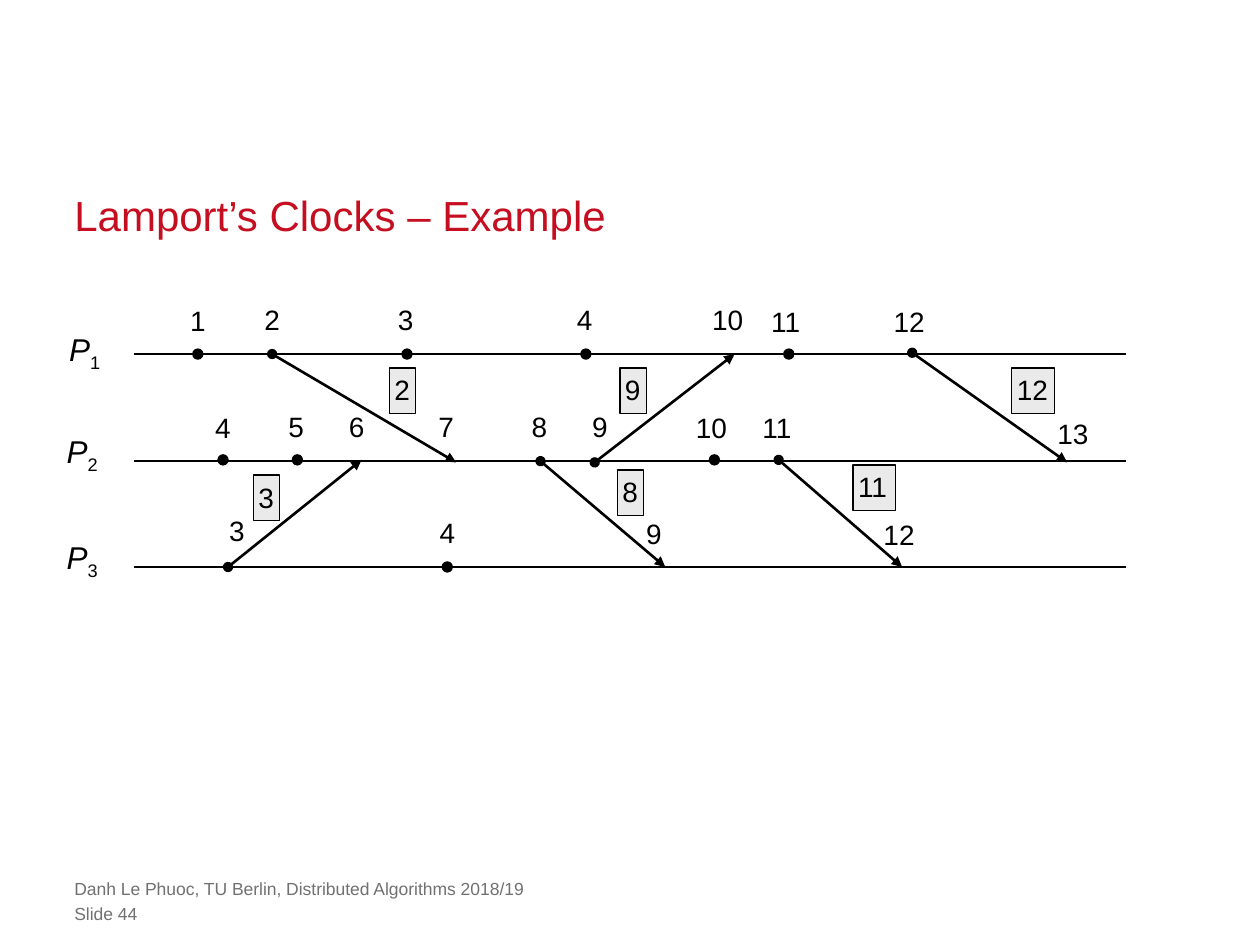
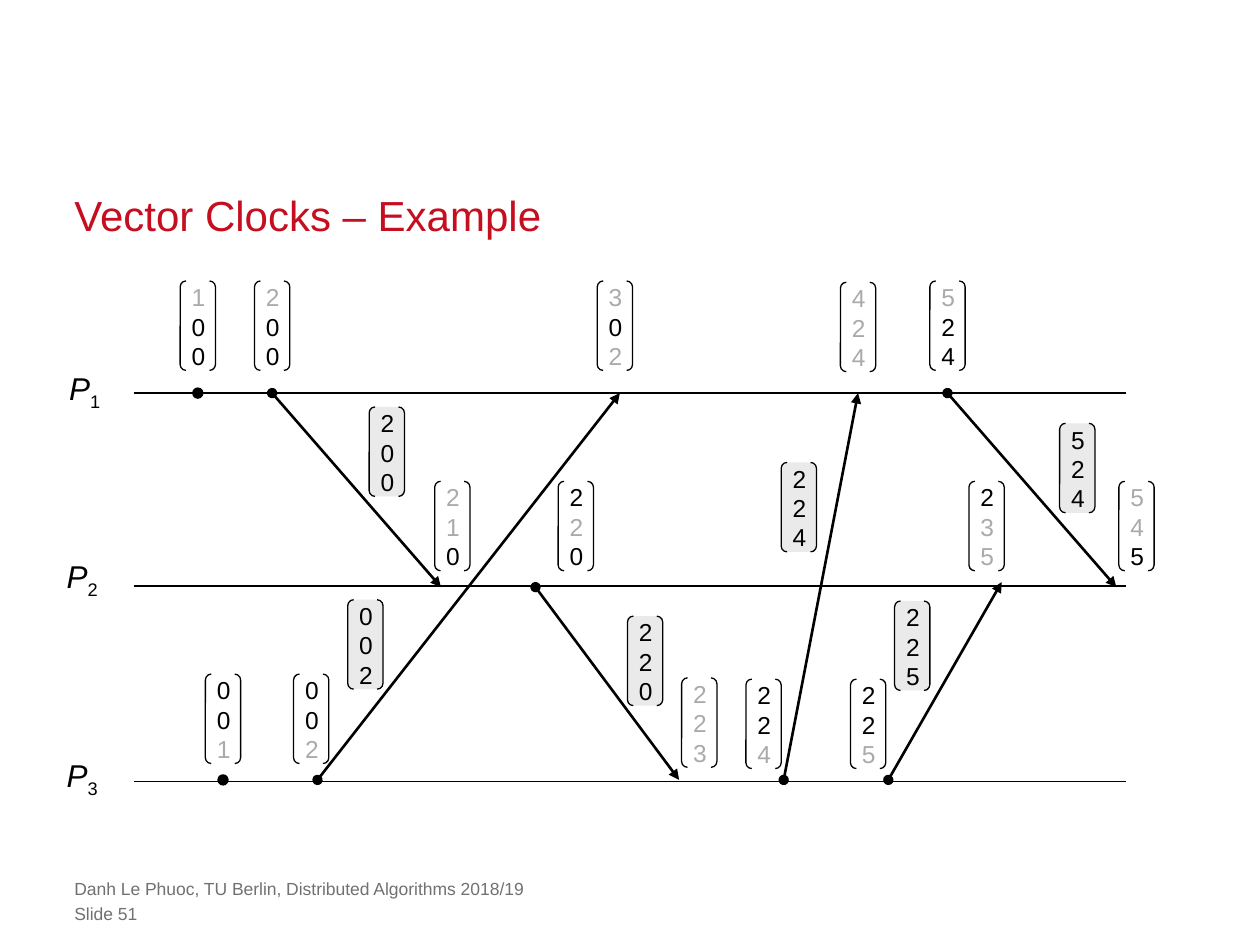
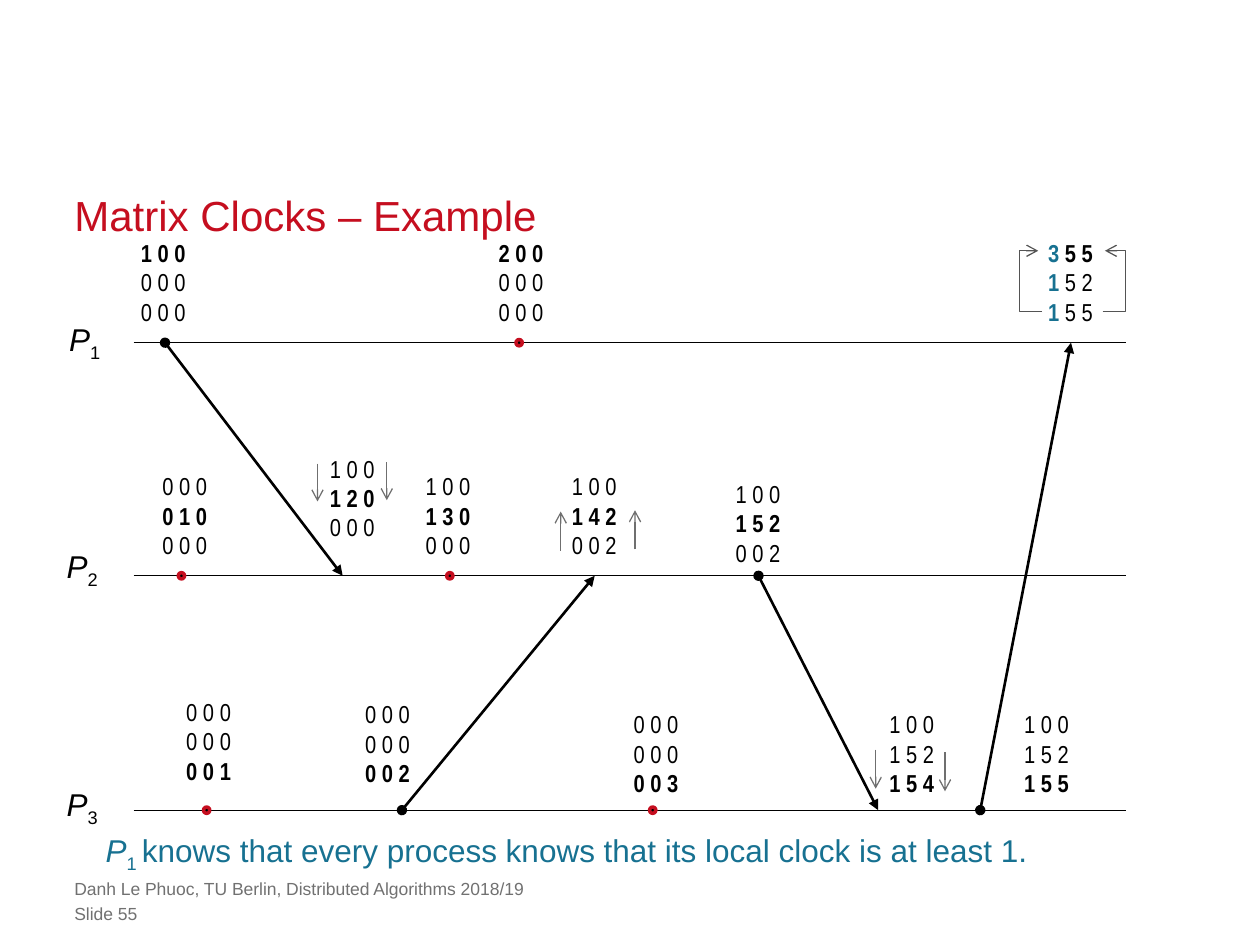
"""Builds three slides of clock examples for distributed algorithms."""
from collections import namedtuple

from lxml import etree
from pptx import Presentation
from pptx.dml.color import RGBColor
from pptx.enum.shapes import MSO_CONNECTOR, MSO_SHAPE
from pptx.enum.text import MSO_ANCHOR, MSO_AUTO_SIZE, PP_ALIGN
from pptx.oxml.ns import qn
from pptx.util import Cm, Pt

STRAIGHT = MSO_CONNECTOR.STRAIGHT
OVAL, RECTANGLE, BRACKETS = MSO_SHAPE.OVAL, MSO_SHAPE.RECTANGLE, MSO_SHAPE.DOUBLE_BRACKET
LEFT, CENTER = PP_ALIGN.LEFT, PP_ALIGN.CENTER
TOP, BOTTOM = MSO_ANCHOR.TOP, MSO_ANCHOR.BOTTOM
FIT, FIXED = MSO_AUTO_SIZE.SHAPE_TO_FIT_TEXT, MSO_AUTO_SIZE.NONE

BLACK = RGBColor(0x00, 0x00, 0x00)
RED = RGBColor(0xC5, 0x0E, 0x1F)
TEAL = RGBColor(0x17, 0x71, 0x91)
FOOTER_GREY = RGBColor(0x71, 0x71, 0x71)
CHANGED_GREY = RGBColor(0xAA, 0xAA, 0xAA)
SHADE = RGBColor(0xEA, 0xEA, 0xEA)
HINT_GREY = RGBColor(0x6F, 0x6F, 0x6F)
HOOK_GREY = RGBColor(0x54, 0x54, 0x54)

SANS, NARROW = "Arial", "Arial Narrow"
MARGIN = 0.59
LINE_START, LINE_END = 1.06, 8.94
FOOTER = "Danh Le Phuoc, TU Berlin, Distributed Algorithms 2018/19"

Span = namedtuple("Span", "words colour bold italic baseline",
                  defaults=(BLACK, False, False, 0))


def length(inches):
    """Returns a length on the inch grid."""
    return Cm(2.54 * inches)


class ClockDeck:
    """Holds the shared style and the current slide."""

    def __init__(self):
        """Opens an empty 4:3 deck."""
        self.deck = Presentation()
        self.deck.slide_width = length(10)
        self.deck.slide_height = length(7.5)
        self.page = None

    def start(self, title, number):
        """Adds a page with its title and footer."""
        self.page = self.deck.slides.add_slide(self.deck.slide_layouts[6])
        box = self.text((MARGIN, 1.48, 8.82, 0.42), [[Span(title, RED)]], 24,
                        inset=0, wrap=True, anchor=BOTTOM)
        box.text_frame.paragraphs[0].line_spacing = 1.5
        for top, words in ((6.97, FOOTER), (7.17, f"Slide {number}")):
            self.text((MARGIN, top, 7.24, 0.17), [[Span(words, FOOTER_GREY)]], 10,
                      inset=0, wrap=True)

    def fill_text(self, frame, paragraphs, size, font=SANS, align=LEFT, inset=None,
                  wrap=False, fit=FIXED, anchor=TOP):
        """Fills a text frame run by run."""
        frame.word_wrap = wrap
        frame.auto_size = fit
        frame.vertical_anchor = anchor
        if inset is not None:
            frame.margin_left = frame.margin_right = length(inset)
            frame.margin_top = frame.margin_bottom = length(inset)
        for index, spans in enumerate(paragraphs):
            para = frame.add_paragraph() if index else frame.paragraphs[0]
            para.alignment = align
            for span in spans:
                run = para.add_run()
                run.text = span.words
                run.font.name = font
                run.font.size = Pt(size)
                run.font.bold = span.bold
                run.font.italic = span.italic
                run.font.color.rgb = span.colour
                if span.baseline:
                    run._r.get_or_add_rPr().set("baseline", str(span.baseline * 1000))

    def text(self, place, paragraphs, size, **style):
        """Adds a text box."""
        box = self.page.shapes.add_textbox(*map(length, place))
        self.fill_text(box.text_frame, paragraphs, size, **style)
        return box

    def shape(self, kind, place, fill=None, line=BLACK, width=0.75):
        """Adds a flat preset shape."""
        shape = self.page.shapes.add_shape(kind, *map(length, place))
        self.paint(shape, fill, line, width)
        return shape

    def paint(self, shape, fill, line, width):
        """Sets fill and outline and removes the shadow."""
        shape.shadow.inherit = False
        if fill is None:
            shape.fill.background()
        else:
            shape.fill.solid()
            shape.fill.fore_color.rgb = fill
        shape.line.color.rgb = line
        shape.line.width = Pt(width)

    def tip(self, line, end, kind):
        """Puts an arrowhead on one end of a line."""
        etree.SubElement(line.get_or_add_ln(), qn(f"a:{end}End")).set("type", kind)

    def line(self, start, stop, colour=BLACK, width=0.75, head=None, tail=None):
        """Adds a straight line with optional arrowheads."""
        line = self.page.shapes.add_connector(STRAIGHT, *map(length, (*start, *stop)))
        line.line.color.rgb = colour
        line.line.width = Pt(width)
        if head:
            self.tip(line, "head", head)
        if tail:
            self.tip(line, "tail", tail)
        etree.SubElement(line._element.spPr, qn("a:effectLst"))

    def message(self, start, stop):
        """Draws a message from its send event to its receipt."""
        self.line(start, stop, width=1.5, head="oval", tail="triangle")

    def hint(self, x, start, stop):
        """Draws a thin vertical arrow beside a matrix."""
        self.line((x, start), (x, stop), HINT_GREY, tail="arrow")

    def hook(self, points):
        """Draws an open outline ending in an arrow."""
        corners = [(length(x), length(y)) for x, y in points]
        builder = self.page.shapes.build_freeform(*corners[0], scale=1.0)
        builder.add_line_segments(corners[1:], close=False)
        hook = builder.convert_to_shape()
        self.paint(hook, None, HOOK_GREY, 0.75)
        self.tip(hook, "tail", "arrow")

    def processes(self, rows):
        """Draws the process lines with their names."""
        for number, (y, label_top) in enumerate(rows, 1):
            self.line((LINE_START, y), (LINE_END, y))
            left = 0.45 if number == 1 else 0.43
            self.text((left, label_top, 0.46, 0.4),
                      [[Span("P", italic=True), Span(str(number), baseline=-25)]],
                      18, fit=FIT)

    def event(self, x, y, size=0.08, line=BLACK, width=0.75):
        """Draws an event dot around its centre."""
        self.shape(OVAL, (x - size / 2, y - size / 2, size, size), BLACK, line, width)

    def local_event(self, x, y):
        """Draws a red-rimmed event dot."""
        self.event(x, y, 0.05, RED, 2)

    def clock(self, x, y, value):
        """Sets a scalar clock value above an event."""
        width = 0.32 if value < 10 else 0.45
        self.text((x, y, width, 0.37), [[Span(str(value))]], 16, align=CENTER, fit=FIT)

    def stamp(self, x, y, value):
        """Draws the boxed timestamp of a message."""
        width = 0.21 if value < 10 else 0.34
        box = self.shape(RECTANGLE, (x, y, width, 0.36), SHADE)
        self.fill_text(box.text_frame, [[Span(str(value))]], 16, inset=0.04, fit=FIT)

    def vector(self, x, y, digits, changed="", fill=None):
        """Draws a bracketed vector with the changed rows in grey."""
        self.shape(BRACKETS, (x, y, 0.28, 0.71), fill)
        rows = [[Span(digit, CHANGED_GREY if str(row) in changed else BLACK)]
                for row, digit in enumerate(digits, 1)]
        self.text((x - 0.01, y - 0.04, 0.31, 0.81), rows, 14,
                  align=CENTER, wrap=True, fit=FIT)

    def matrix(self, x, y, rows, own, lead=None):
        """Sets a matrix with its own row bold and an optional coloured first column."""
        paragraphs = []
        for number, row in enumerate(rows.split(), 1):
            words, bold = " ".join(row), number == own
            spans = [Span(words, bold=bold)]
            if lead:
                spans = [Span(words[0], lead, True), Span(words[1:], bold=bold)]
            paragraphs.append(spans)
        self.text((x, y, 0.56, 0.81), paragraphs, 14, font=NARROW, fit=FIT)


def lamport_slide(show):
    """Builds the scalar clock example."""
    show.start("Lamport’s Clocks – Example", 44)
    show.processes([(2.81, 2.57), (3.66, 3.38), (4.5, 4.22)])
    for start, stop in (((2.16, 2.81), (3.62, 3.67)), ((4.29, 3.66), (5.28, 4.5)),
                        ((4.72, 3.67), (5.83, 2.81)), ((1.81, 4.5), (2.87, 3.65)),
                        ((7.24, 2.8), (8.47, 3.67)), ((6.18, 3.65), (7.16, 4.5))):
        show.message(start, stop)
    for y, places in ((2.81, (1.57, 3.23, 4.65, 6.26)), (3.65, (1.77, 2.36, 5.67)),
                      (4.5, (3.55,))):
        for x in places:
            show.event(x, y)
    for x, y, value in ((1.41, 2.36, 1), (2, 2.35, 2), (3.06, 2.35, 3), (4.48, 2.35, 4),
                        (5.55, 2.35, 10), (6.01, 2.37, 11), (6.99, 2.37, 12),
                        (1.61, 3.21, 4), (2.19, 3.2, 5), (2.67, 3.2, 6), (3.38, 3.2, 7),
                        (4.12, 3.2, 8), (4.6, 3.2, 9), (5.42, 3.21, 10), (5.94, 3.21, 11),
                        (8.29, 3.26, 13), (1.72, 4.03, 3), (3.39, 4.04, 4),
                        (5.03, 4.05, 9), (6.91, 4.06, 12)):
        show.clock(x, y, value)
    for x, y, value in ((3.09, 2.92, 2), (4.92, 2.92, 9), (8.03, 2.92, 12),
                        (2.01, 3.77, 3), (4.9, 3.73, 8), (6.77, 3.69, 11)):
        show.stamp(x, y, value)


def vector_slide(show):
    """Builds the vector clock example."""
    show.start("Vector Clocks – Example", 51)
    for x, y, digits in ((8.41, 3.36, "524"), (6.2, 3.67, "224"), (4.98, 4.89, "220"),
                         (2.76, 4.76, "002"), (2.93, 3.23, "200"), (7.1, 4.77, "225")):
        show.vector(x, y, digits, fill=SHADE)
    show.processes([(3.12, 2.88), (4.65, 4.37), (6.2, 5.95)])
    for start, stop in (((2.16, 3.12), (3.5, 4.66)), ((4.25, 4.66), (5.39, 6.19)),
                        ((2.52, 6.19), (4.92, 3.12)), ((6.22, 6.19), (6.81, 3.12)),
                        ((7.52, 3.12), (8.86, 4.66)), ((7.05, 6.19), (7.95, 4.62))):
        show.message(start, stop)
    show.event(1.57, 3.12)
    show.event(1.77, 6.19)
    for x, y, digits, changed in (
            (1.43, 2.23, "100", "1"), (2.02, 2.23, "200", "1"), (4.74, 2.23, "302", "13"),
            (6.67, 2.24, "424", "123"), (7.38, 2.23, "524", "1"),
            (3.45, 3.82, "210", "12"), (4.43, 3.82, "220", "2"),
            (7.69, 3.82, "235", "23"), (8.88, 3.82, "545", "12"),
            (1.63, 5.35, "001", "3"), (2.33, 5.35, "002", "3"),
            (5.41, 5.38, "223", "123"), (5.92, 5.39, "224", "3"),
            (6.75, 5.39, "225", "3")):
        show.vector(x, y, digits, changed)


def matrix_slide(show):
    """Builds the matrix clock example."""
    show.start("Matrix Clocks – Example", 55)
    first, second, third = 2.72, 4.57, 6.43
    show.processes([(first, 2.49), (second, 4.29), (third, 6.18)])
    for start, stop in (((1.31, first), (2.72, second)), ((3.19, third), (4.72, second)),
                        ((6.02, second), (6.97, third)), ((7.78, third), (8.5, first))):
        show.message(start, stop)
    for x, y in ((4.12, first), (1.44, second), (3.57, second), (1.64, third),
                 (5.18, third)):
        show.local_event(x, y)
    for x, y, rows, own in (
            (1.02, 1.84, "100 000 000", 1), (3.86, 1.84, "200 000 000", 1),
            (1.19, 3.69, "000 010 000", 2), (2.52, 3.55, "100 120 000", 2),
            (3.28, 3.69, "100 130 000", 2), (4.44, 3.69, "100 142 002", 2),
            (5.74, 3.75, "100 152 002", 2), (1.38, 5.48, "000 000 001", 3),
            (2.8, 5.5, "000 000 002", 3), (4.93, 5.58, "000 000 003", 3),
            (6.96, 5.58, "100 152 154", 3), (8.03, 5.58, "100 152 155", 3)):
        show.matrix(x, y, rows, own)
    show.matrix(8.22, 1.84, "355 152 155", 1, lead=TEAL)
    show.text((0.74, 6.55, 7.88, 0.4),
              [[Span("P", TEAL, italic=True), Span("1 ", TEAL, baseline=-25),
                Span("knows that every process knows that its local clock is at least 1.",
                     TEAL)]], 18, fit=FIT)
    for x, start, stop in ((2.52, 3.68, 3.98), (3.07, 3.67, 3.97), (4.45, 4.37, 4.06),
                           (5.04, 4.36, 4.05), (6.95, 5.95, 6.26), (7.5, 5.97, 6.28)):
        show.hint(x, start, stop)
    for inner, outer, end in ((8.75, 8.93, 8.77), (8.27, 8.09, 8.24)):
        show.hook([(inner, 2.47), (outer, 2.47), (outer, 1.99), (end, 1.99)])


show = ClockDeck()
lamport_slide(show)
vector_slide(show)
matrix_slide(show)
show.deck.save("out.pptx")
